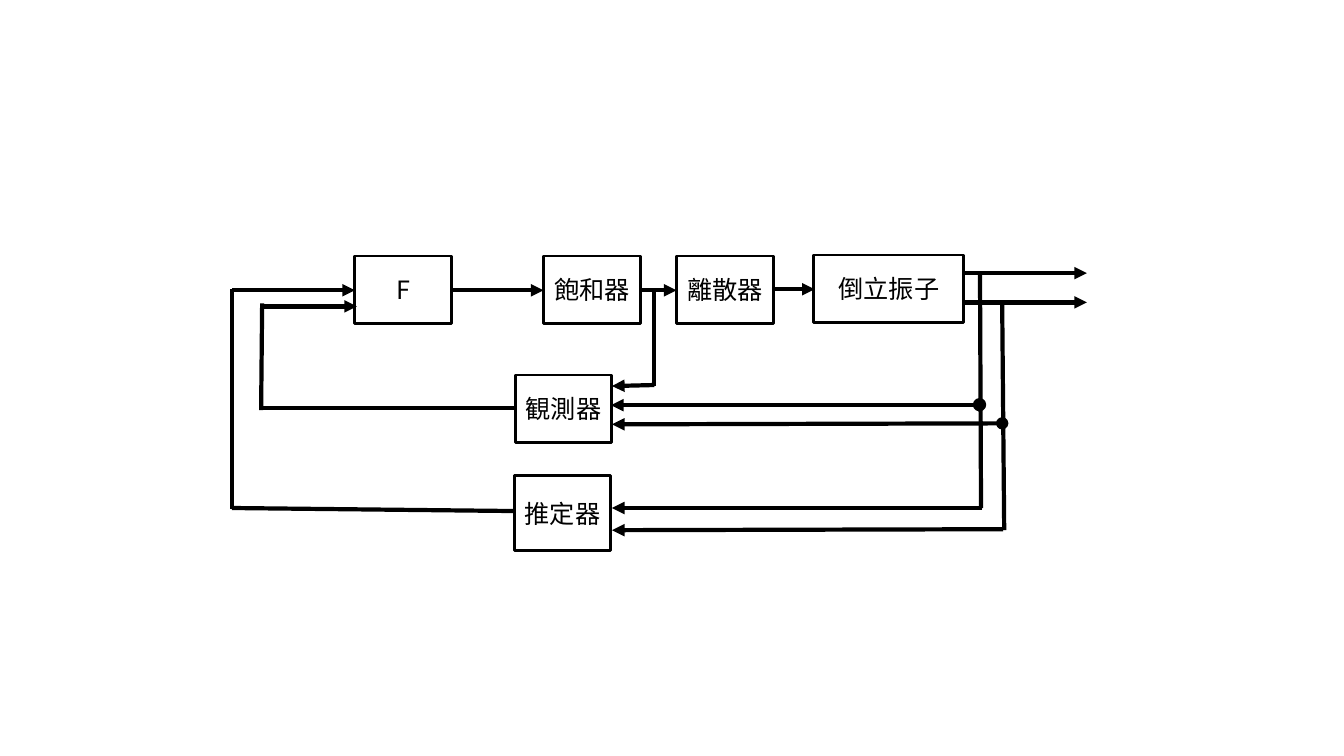
from typing import NamedTuple

from lxml.etree import SubElement
from pptx import Presentation
from pptx.dml.color import RGBColor
from pptx.enum.shapes import MSO_CONNECTOR, MSO_SHAPE
from pptx.enum.text import MSO_ANCHOR, PP_ALIGN
from pptx.oxml.ns import qn
from pptx.shapes.autoshape import Shape
from pptx.slide import Slide
from pptx.text.text import TextFrame
from pptx.util import Emu, Pt

BLACK = RGBColor(0x00, 0x00, 0x00)
WHITE = RGBColor(0xFF, 0xFF, 0xFF)
FONT = "Noto Sans CJK JP"
SCALE = 9144


class Block(NamedTuple):
    """A labelled box of the control loop."""
    text: str
    x: int
    y: int
    w: int = 96
    h: int = 67


class Wire(NamedTuple):
    """A signal line, with an arrowhead at its end if it enters something."""
    x1: int
    y1: int
    x2: int
    y2: int
    arrow: bool = False


class Node(NamedTuple):
    """A branch point of a signal."""
    x: int
    y: int
    d: int


BLOCKS = [
    Block("F", 352, 254),
    Block("飽和器", 539, 254),
    Block("離散器", 671, 254),
    Block("倒立振子", 807, 253, w=149),
    Block("観測器", 511, 372),
    Block("推定器", 510, 472, h=74),
]
WIRES = [
    Wire(448, 288, 539, 288, True),
    Wire(635, 288, 671, 288, True),
    Wire(768, 287, 808, 287, True),
    Wire(956, 271, 1078, 271, True),
    Wire(956, 300, 1078, 300, True),
    Wire(972, 271, 973, 504),
    Wire(994, 302, 996, 526),
    Wire(973, 402, 606, 402, True),
    Wire(994, 420, 607, 421, True),
    Wire(974, 504, 607, 504, True),
    Wire(995, 525, 607, 526, True),
    Wire(649, 289, 649, 383),
    Wire(649, 382, 607, 383, True),
    Wire(511, 405, 260, 405),
    Wire(260, 301, 259, 407),
    Wire(260, 304, 354, 304, True),
    Wire(509, 507, 230, 504),
    Wire(230, 287, 230, 505),
    Wire(230, 288, 352, 288, True),
]
NODES = [Node(967, 397, 9), Node(990, 416, 8)]


def px(n: int) -> Emu:
    """Turn px into EMU."""
    return Emu(n * SCALE)


def write(tf: TextFrame, text: str, *, size: int = 18, color: RGBColor = BLACK,
          font: str = FONT, align: PP_ALIGN = PP_ALIGN.CENTER) -> None:
    """Put one formatted line of text in a frame."""
    tf.word_wrap = True
    tf.vertical_anchor = MSO_ANCHOR.MIDDLE
    tf.margin_left = tf.margin_right = 0
    p = tf.paragraphs[0]
    p.alignment = align
    r = p.add_run()
    r.text = text
    r.font.size = Pt(size)
    r.font.color.rgb = color
    r.font.name = font
    SubElement(r.font._element, qn("a:ea"), typeface=font)


def add_shape(s: Slide, kind: MSO_SHAPE, x: int, y: int, w: int, h: int,
              fill: RGBColor, weight: int) -> Shape:
    """Add a flat shape with a black outline."""
    sp = s.shapes.add_shape(kind, px(x), px(y), px(w), px(h))
    sp.shadow.inherit = False
    sp.fill.solid()
    sp.fill.fore_color.rgb = fill
    sp.line.color.rgb = BLACK
    sp.line.width = Pt(weight)
    return sp


def add_block(s: Slide, b: Block) -> None:
    """Add a labelled box."""
    sp = add_shape(s, MSO_SHAPE.RECTANGLE, b.x, b.y, b.w, b.h, WHITE, 2)
    write(sp.text_frame, b.text)


def add_wire(s: Slide, w: Wire) -> None:
    """Add a signal line."""
    c = s.shapes.add_connector(MSO_CONNECTOR.STRAIGHT, px(w.x1), px(w.y1),
                               px(w.x2), px(w.y2))
    c.line.color.rgb = BLACK
    c.line.width = Pt(3)
    if w.arrow:
        SubElement(c.line._get_or_add_ln(), qn("a:tailEnd"), type="triangle")
    SubElement(c._element.spPr, qn("a:effectLst"))


def main() -> None:
    """Build the block diagram slide."""
    prs = Presentation()
    prs.slide_width, prs.slide_height = px(1333), px(750)
    s = prs.slides.add_slide(prs.slide_layouts[6])
    for b in BLOCKS:
        add_block(s, b)
    for w in WIRES:
        add_wire(s, w)
    for n in NODES:
        add_shape(s, MSO_SHAPE.OVAL, n.x, n.y, n.d, n.d, BLACK, 3)
    prs.save("out.pptx")


if __name__ == "__main__":
    main()
